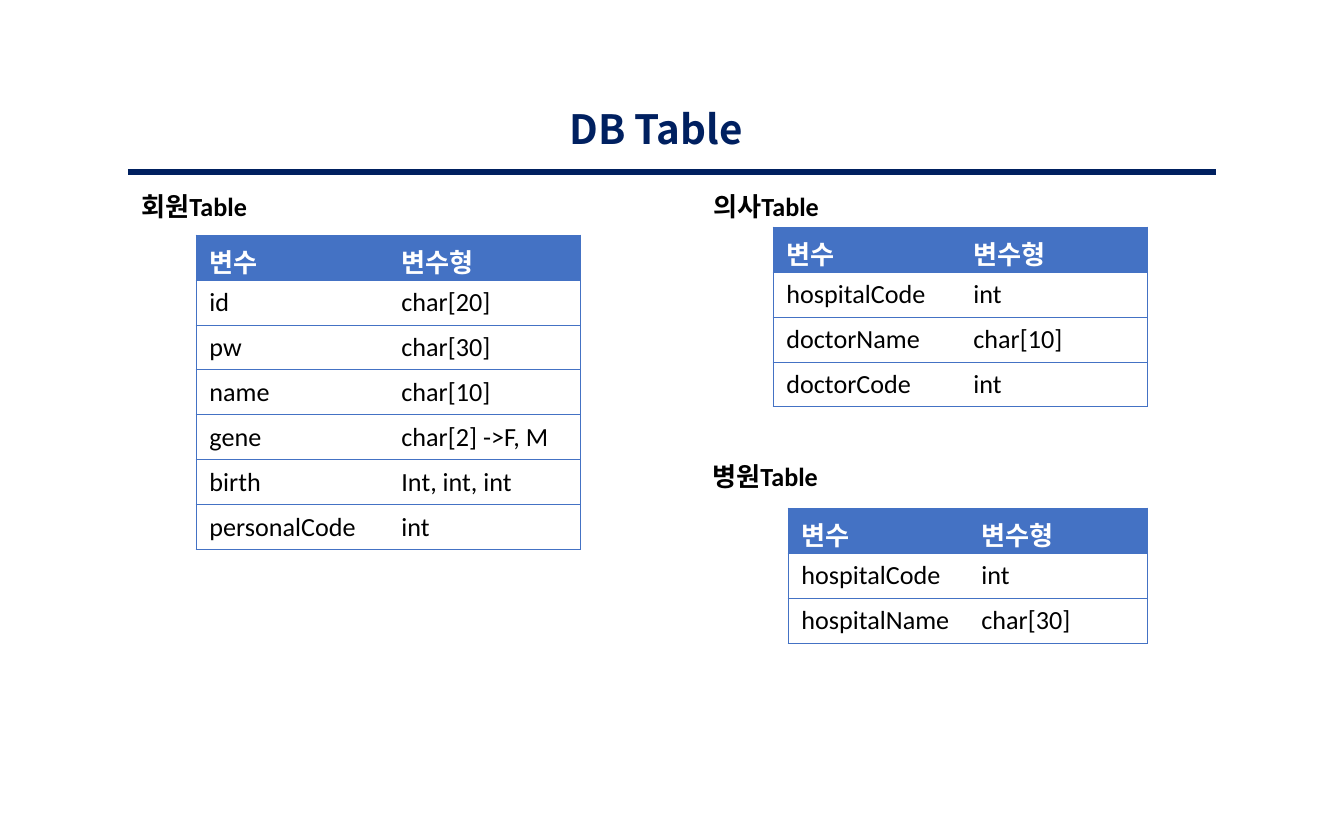
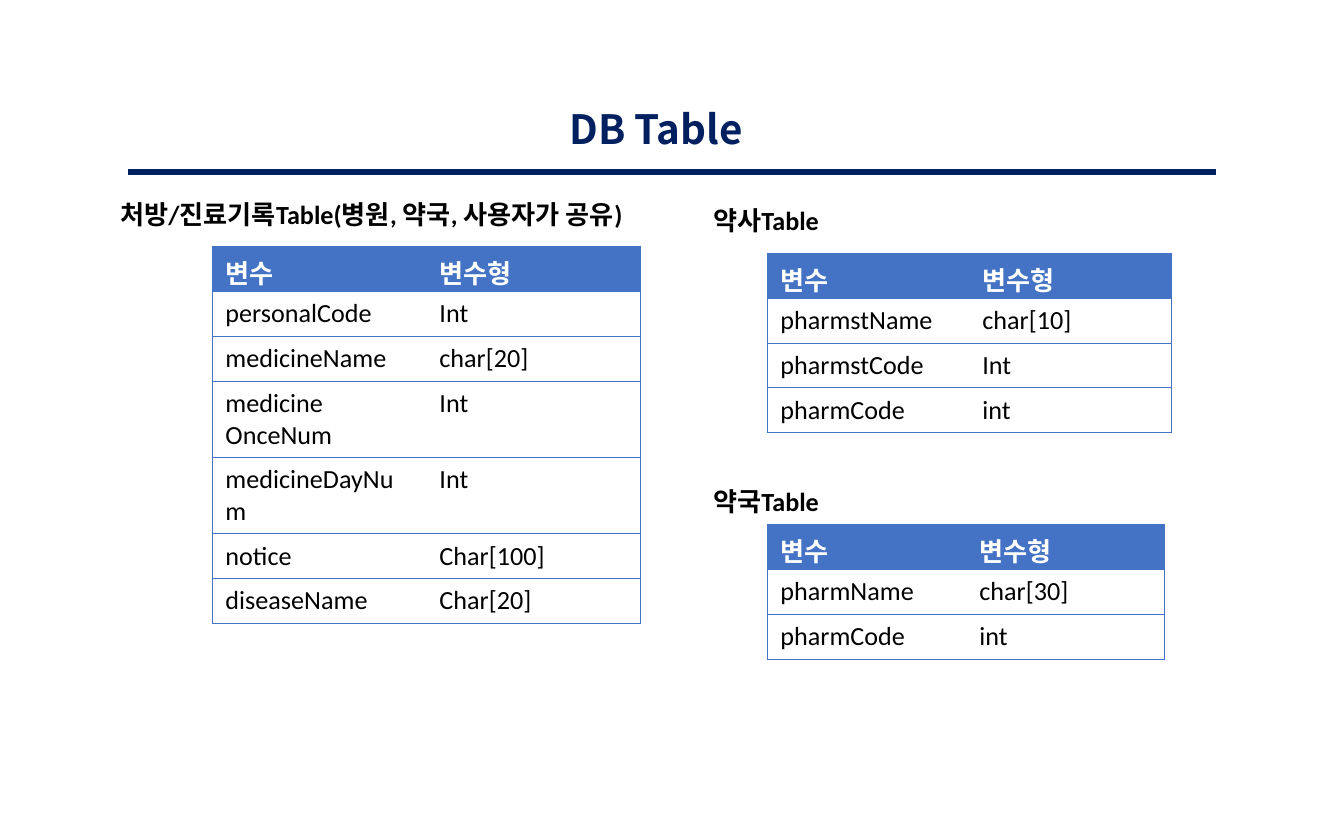
from dataclasses import dataclass

from lxml.etree import SubElement
from pptx import Presentation
from pptx.dml.color import RGBColor
from pptx.enum.shapes import MSO_CONNECTOR
from pptx.enum.text import MSO_AUTO_SIZE
from pptx.oxml.ns import qn
from pptx.slide import Slide
from pptx.text.text import TextFrame
from pptx.util import Emu, Pt

PAGE_WIDTH, PAGE_HEIGHT = 1344, 840
EMU_PER_PX = 9144000 / PAGE_WIDTH
RULE_LEFT, RULE_RIGHT, RULE_TOP = 128, 1216, 172
ROW_HEIGHT, LABEL_HEIGHT = 45, 45
NAVY, BLUE, BLACK, WHITE = "002060", "4472C4", "000000", "FFFFFF"
TITLE_FONT, BODY_FONT = "Noto Sans CJK KR", "Calibri"
TITLE_SIZE, BODY_SIZE, BORDER_WIDTH = 21.6, 14, 0.5
HEADER = ("변수", "변수형")


@dataclass(frozen=True)
class Label:
    """A bold caption and its place in px."""

    text: str
    left: int
    top: int
    width: int


@dataclass(frozen=True)
class Schema:
    """A database table: its caption, place, column width and fields."""

    label: Label
    left: int
    top: int
    column_width: int
    fields: tuple[tuple[str, str], ...]


MEMBER = Schema(
    Label("회원Table", 128, 184, 399), 196, 235, 192,
    (("id", "char[20]"), ("pw", "char[30]"), ("name", "char[10]"),
     ("gene", "char[2] ->F, M"), ("birth", "Int, int, int"), ("personalCode", "int")),
)
DOCTOR = Schema(
    Label("의사Table", 700, 184, 274), 773, 227, 187,
    (("hospitalCode", "int"), ("doctorName", "char[10]"), ("doctorCode", "int")),
)
HOSPITAL = Schema(
    Label("병원Table", 699, 454, 265), 788, 508, 180,
    (("hospitalCode", "int"), ("hospitalName", "char[30]")),
)
PRESCRIPTION = Schema(
    Label("처방/진료기록Table(병원, 약국, 사용자가 공유)", 107, 192, 605), 212, 246, 214,
    (("personalCode", "Int"), ("medicineName", "char[20]"), ("medicine\vOnceNum", "Int"),
     ("medicineDayNum", "Int"), ("notice", "Char[100]"), ("diseaseName", "Char[20]")),
)
PHARMACIST = Schema(
    Label("약사Table", 700, 198, 329), 767, 253, 202,
    (("pharmstName", "char[10]"), ("pharmstCode", "Int"), ("pharmCode", "int")),
)
PHARMACY = Schema(
    Label("약국Table", 700, 479, 292), 767, 524, 199,
    (("pharmName", "char[30]"), ("pharmCode", "int")),
)
PAGES = ((HOSPITAL, DOCTOR, MEMBER), (PHARMACY, PHARMACIST, PRESCRIPTION))


def px(length: int) -> Emu:
    """Turn px into EMU."""
    return Emu(round(length * EMU_PER_PX))


def color(value: str) -> RGBColor:
    """Turn a hex string into a colour."""
    return RGBColor.from_string(value)


def write(frame: TextFrame, text: str, font: str, size: float, ink: str, bold: bool) -> None:
    """Set the text of a frame and format its runs."""
    frame.text = text
    for para in frame.paragraphs:
        for span in para.runs:
            span.font.name = font
            span.font.size = Pt(size)
            span.font.bold = bold
            span.font.color.rgb = color(ink)


def add_title(page: Slide) -> None:
    """Draw the page title and the rule below it."""
    box = page.shapes.add_textbox(px(556), px(98), px(206), px(62))
    write(box.text_frame, "DB Table", TITLE_FONT, TITLE_SIZE, NAVY, True)
    box.text_frame.word_wrap = False
    box.text_frame.auto_size = MSO_AUTO_SIZE.SHAPE_TO_FIT_TEXT
    rule = page.shapes.add_connector(
        MSO_CONNECTOR.STRAIGHT, px(RULE_LEFT), px(RULE_TOP), px(RULE_RIGHT), px(RULE_TOP)
    )
    rule.line.color.rgb = color(NAVY)
    rule.line.width = Pt(3)
    SubElement(rule._element.spPr, qn("a:effectLst"))


def add_label(page: Slide, label: Label) -> None:
    """Draw the caption of a table."""
    box = page.shapes.add_textbox(
        px(label.left), px(label.top), px(label.width), px(LABEL_HEIGHT)
    )
    write(box.text_frame, label.text, BODY_FONT, BODY_SIZE, BLACK, True)
    box.text_frame.word_wrap = True
    box.text_frame.auto_size = MSO_AUTO_SIZE.SHAPE_TO_FIT_TEXT


def set_borders(cell, visible: str) -> None:
    """Draw the named sides of a cell and hide the others."""
    properties = cell._tc.get_or_add_tcPr()
    for side in "LRTB":
        line = SubElement(properties, qn(f"a:ln{side}"), w=str(Pt(BORDER_WIDTH)))
        if side in visible:
            fill = SubElement(line, qn("a:solidFill"))
            SubElement(fill, qn("a:srgbClr"), val=BLUE)
        else:
            SubElement(line, qn("a:noFill"))


def add_schema(page: Slide, schema: Schema) -> None:
    """Draw a database table with its caption."""
    rows = (HEADER, *schema.fields)
    table = page.shapes.add_table(
        len(rows), len(HEADER), px(schema.left), px(schema.top),
        px(schema.column_width * len(HEADER)), px(ROW_HEIGHT * len(rows)),
    ).table
    table.horz_banding = False
    for row_index, row in enumerate(rows):
        is_header = row_index == 0
        for column_index, text in enumerate(row):
            cell = table.cell(row_index, column_index)
            set_borders(cell, "TB" + "LR"[column_index])
            if is_header:
                cell.fill.solid()
                cell.fill.fore_color.rgb = color(BLUE)
            else:
                cell.fill.background()
            ink = WHITE if is_header else BLACK
            write(cell.text_frame, text, BODY_FONT, BODY_SIZE, ink, is_header)
    add_label(page, schema.label)


def main() -> None:
    """Build and save the deck."""
    deck = Presentation()
    deck.slide_width, deck.slide_height = px(PAGE_WIDTH), px(PAGE_HEIGHT)
    for schemas in PAGES:
        page = deck.slides.add_slide(deck.slide_layouts[6])
        add_title(page)
        for schema in schemas:
            add_schema(page, schema)
    deck.save("out.pptx")


if __name__ == "__main__":
    main()
